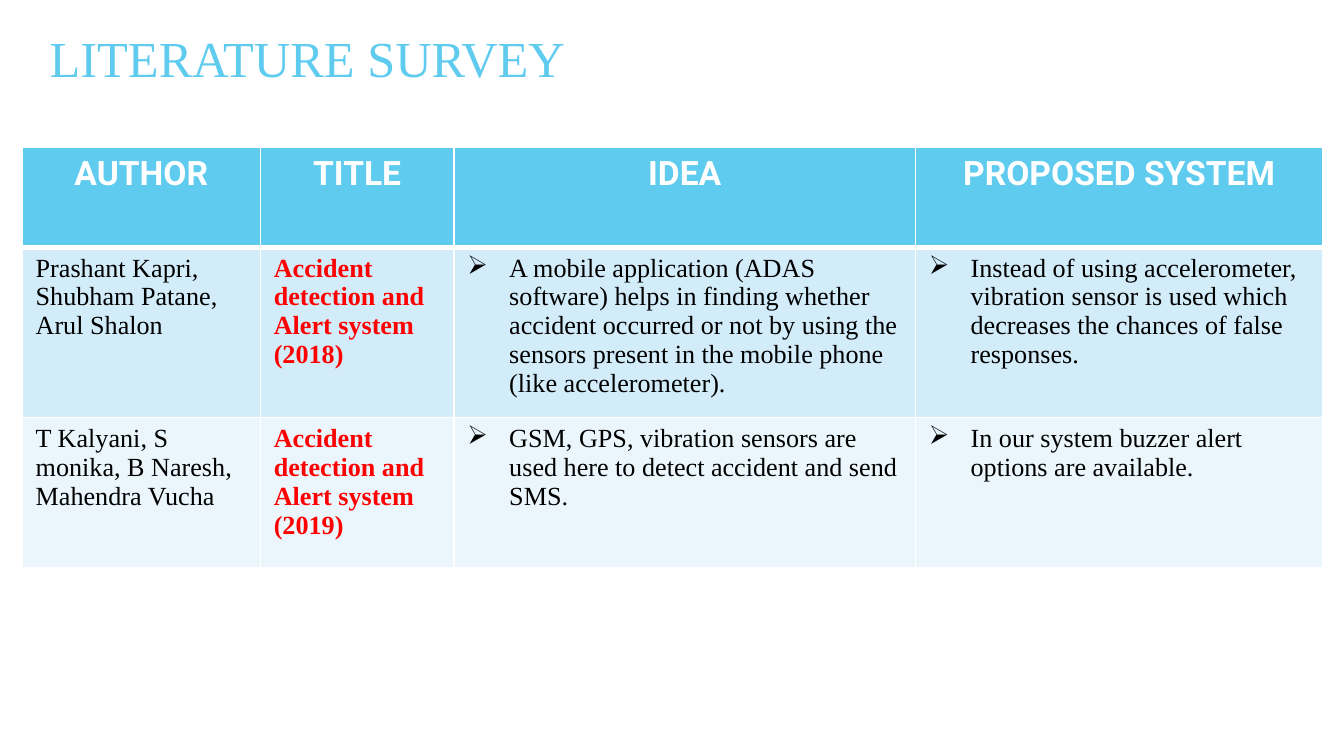
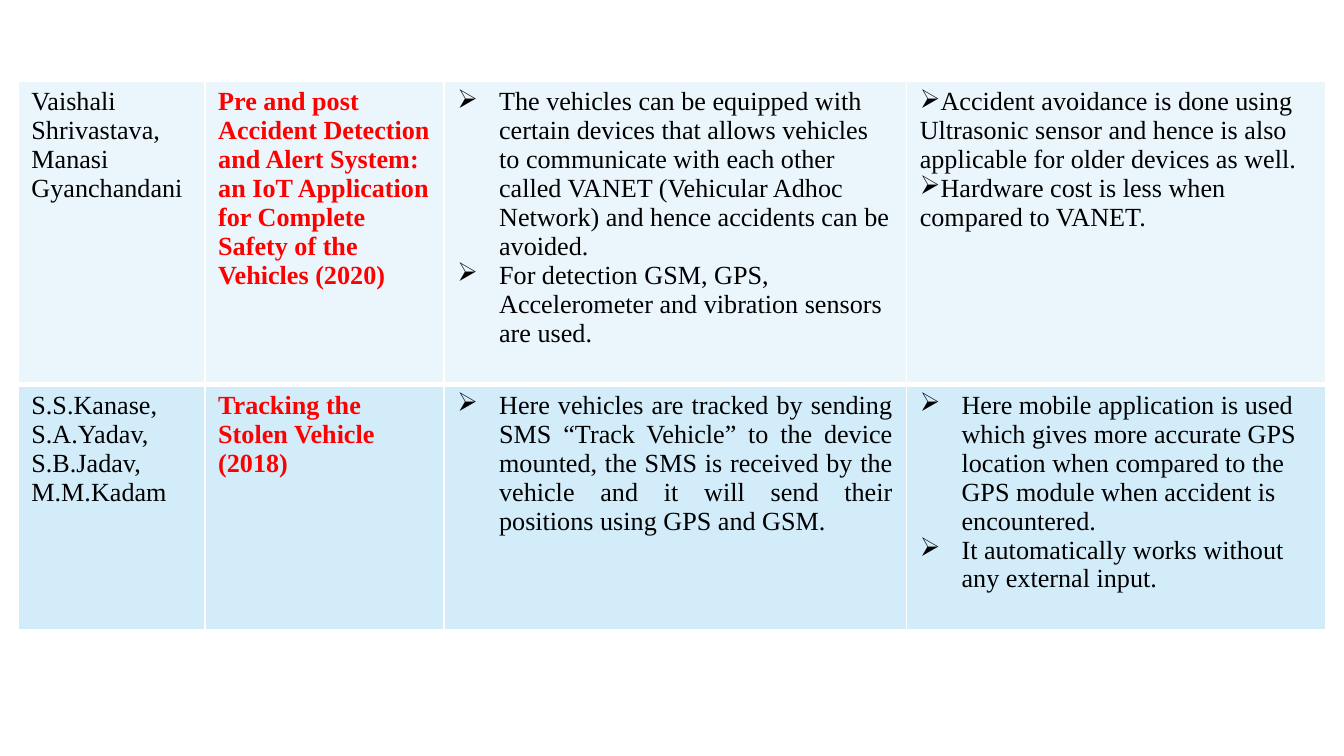
from dataclasses import dataclass
from pptx import Presentation
from pptx.dml.color import RGBColor
from pptx.enum.text import MSO_ANCHOR as Anchor, PP_ALIGN as Align
from pptx.oxml.ns import qn
from pptx.util import Cm, Pt
from lxml.etree import SubElement as Sub

SKY = RGBColor(0x5F, 0xCB, 0xEF)
MID = RGBColor(0xD2, 0xEC, 0xF9)
PALE = RGBColor(0xEA, 0xF6, 0xFC)
RED = RGBColor(0xFF, 0x00, 0x00)
BLACK = RGBColor(0x00, 0x00, 0x00)
WHITE = RGBColor(0xFF, 0xFF, 0xFF)
SERIF = "Times New Roman"
SANS = "Roboto"
THIN, THICK = Pt(1), Pt(3)


@dataclass
class Style:
    size: int = 14
    font: str = SERIF
    color: RGBColor = BLACK
    bold: bool = False
    align: Align = Align.LEFT
    indent: tuple = None


HANG = (Cm(0.79), Cm(-0.79))
TITLE = Style(size=27, color=SKY)
HEAD = Style(size=18, font=SANS, color=WHITE, bold=True, align=Align.CENTER)
PLAIN = Style()
PAPER = Style(color=RED, bold=True)
LIST = Style(indent=HANG)
EVEN = Style(indent=HANG, align=Align.JUSTIFY)
FLUSH = Style(indent=(0, Cm(-0.94)))

HEADS = ["AUTHOR", "TITLE", "IDEA", "PROPOSED SYSTEM"]
EARLY = [
    (SKY, 1.88, [(HEAD, [text]) for text in HEADS]),
    (MID, 2.98, [
        (PLAIN, ["Prashant Kapri, Shubham Patane,", "Arul Shalon"]),
        (PAPER, ["Accident detection and Alert system (2018)"]),
        (LIST, ["A mobile application (ADAS software) helps in finding whether "
                "accident occurred or not by using the sensors present in the "
                "mobile phone (like accelerometer)."]),
        (LIST, ["Instead of using accelerometer, vibration sensor is used "
                "which decreases the chances of false responses."]),
    ]),
    (PALE, 2.84, [
        (PLAIN, ["T Kalyani, S monika, B Naresh, Mahendra Vucha"]),
        (PAPER, ["Accident detection and Alert system (2019)"]),
        (LIST, ["GSM, GPS, vibration sensors are used here to detect accident "
                "and send SMS."]),
        (LIST, ["In our system buzzer alert options are available."]),
    ]),
]
LATER = [
    (PALE, 5.74, [
        (PLAIN, ["Vaishali Shrivastava, Manasi Gyanchandani"]),
        (PAPER, ["Pre and post Accident Detection and Alert System: an IoT "
                 "Application for Complete Safety of the Vehicles (2020)"]),
        (LIST, ["The vehicles can be equipped with certain devices that allows "
                "vehicles to communicate with each other called VANET "
                "(Vehicular Adhoc Network) and hence accidents can be avoided.",
                "For detection GSM, GPS, Accelerometer and vibration sensors "
                "are used."]),
        (FLUSH, ["Accident avoidance is done using Ultrasonic sensor and hence "
                 "is also applicable for older devices as well.",
                 "Hardware cost is less when compared to VANET."]),
    ]),
    (MID, 4.64, [
        (PLAIN, ["S.S.Kanase, S.A.Yadav, S.B.Jadav, M.M.Kadam"]),
        (PAPER, ["Tracking the Stolen Vehicle (2018)"]),
        (EVEN, ["Here vehicles are tracked by sending SMS “Track Vehicle” to "
                "the device mounted, the SMS is received by the vehicle and it "
                "will send their positions using GPS and GSM."]),
        (LIST, ["Here mobile application is used which gives more accurate GPS "
                "location when compared to the GPS module when accident is "
                "encountered.",
                "It automatically works without any external input."]),
    ]),
]


def write(frame, texts, style):
    for i, text in enumerate(texts):
        para = frame.add_paragraph() if i else frame.paragraphs[0]
        para.alignment = style.align
        if style.indent:
            props = para._p.get_or_add_pPr()
            left, first = style.indent
            props.set("marL", str(left))
            props.set("indent", str(first))
            Sub(props, qn("a:buChar")).set("char", "➢")
        run = para.add_run()
        run.text = text
        font = run.font
        font.name, font.size, font.bold = style.font, Pt(style.size), style.bold
        font.color.rgb = style.color


def edge(cell, row):
    props = cell._tc.get_or_add_tcPr()
    wide = {"T": row == 1, "B": row == 0}
    for side in "LRTB":
        line = Sub(props, qn(f"a:ln{side}"))
        line.set("w", str(THICK if wide.get(side) else THIN))
        fill = Sub(line, qn("a:solidFill"))
        Sub(fill, qn("a:srgbClr")).set("val", str(WHITE))


def add_title(slide, text):
    box = slide.shapes.add_textbox(Cm(0.69), Cm(0.2), Cm(23.67), Cm(1.7))
    frame = box.text_frame
    frame.word_wrap = True
    frame.vertical_anchor = Anchor.BOTTOM
    frame.margin_left = frame.margin_right = Cm(0.25)
    frame.margin_top = frame.margin_bottom = Cm(0.25)
    write(frame, [text], TITLE)


def add_grid(slide, left, top, widths, rows):
    high = sum(row[1] for row in rows)
    table = slide.shapes.add_table(len(rows), len(widths), Cm(left), Cm(top),
                                   Cm(sum(widths)), Cm(high)).table
    table.first_row = table.horz_banding = False
    for col, width in zip(table.columns, widths):
        col.width = Cm(width)
    for r, (color, height, cells) in enumerate(rows):
        table.rows[r].height = Cm(height)
        for c, (style, texts) in enumerate(cells):
            cell = table.cell(r, c)
            edge(cell, r)
            cell.fill.solid()
            cell.fill.fore_color.rgb = color
            write(cell.text_frame, texts, style)


def main():
    deck = Presentation()
    deck.slide_width, deck.slide_height = Cm(25.4), Cm(14.29)
    blank = deck.slide_layouts[6]

    slide = deck.slides.add_slide(blank)
    add_title(slide, "LITERATURE SURVEY")
    add_grid(slide, 0.42, 2.79, [4.5, 3.66, 8.72, 7.7], EARLY)

    slide = deck.slides.add_slide(blank)
    add_grid(slide, 0.34, 1.53, [3.53, 4.52, 8.74, 7.92], LATER)

    deck.save("out.pptx")


if __name__ == "__main__":
    main()
